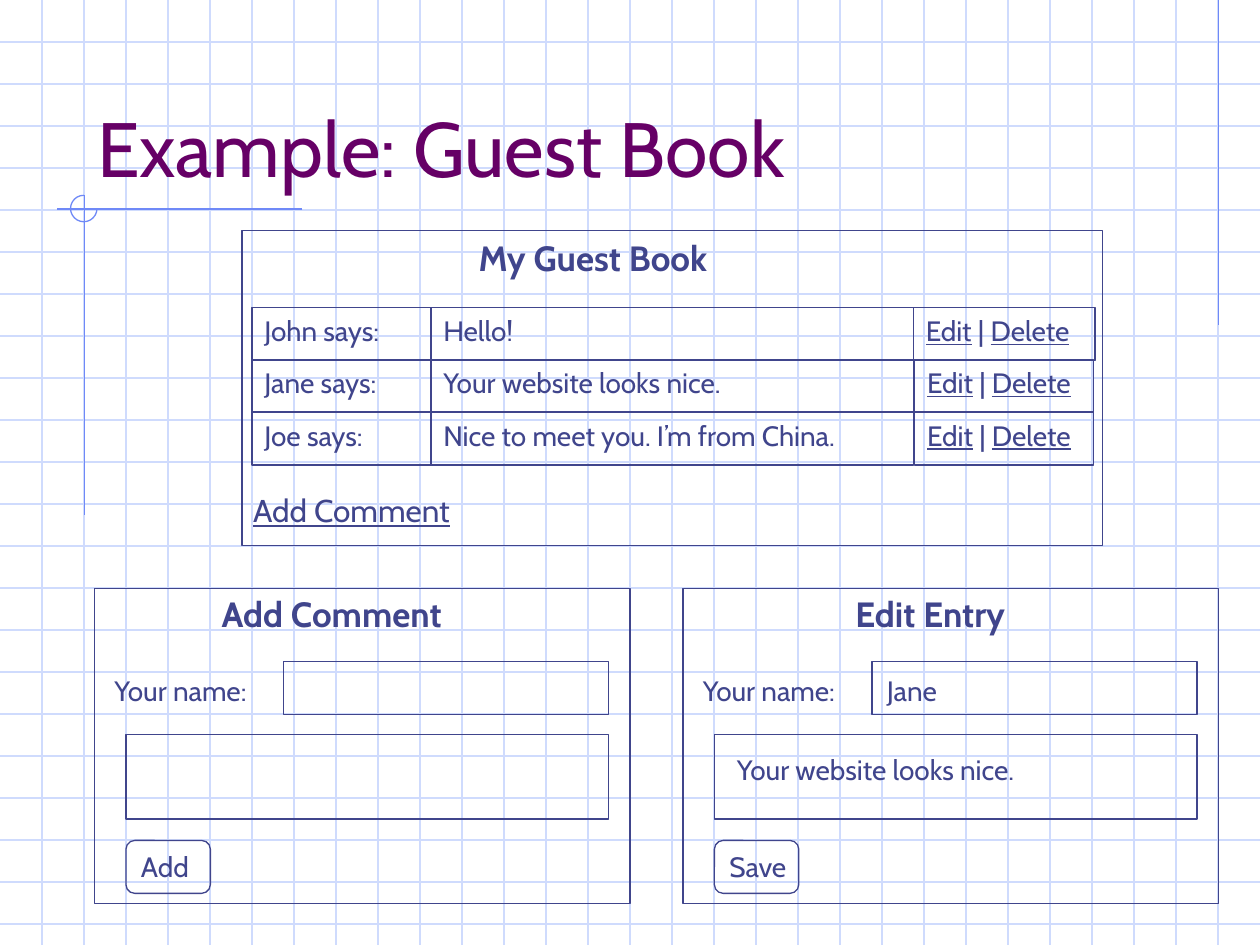
from lxml import etree
from pptx import Presentation
from pptx.dml.color import RGBColor
from pptx.enum.shapes import MSO_CONNECTOR, MSO_SHAPE
from pptx.enum.text import MSO_ANCHOR, MSO_AUTO_SIZE, PP_ALIGN
from pptx.oxml.ns import qn
from pptx.util import Inches, Pt

STRAIGHT = MSO_CONNECTOR.STRAIGHT
RECT, ROUNDED, ARC = MSO_SHAPE.RECTANGLE, MSO_SHAPE.ROUNDED_RECTANGLE, MSO_SHAPE.ARC
TOP, BOTTOM = MSO_ANCHOR.TOP, MSO_ANCHOR.BOTTOM
LEFT = PP_ALIGN.LEFT
NO_FIT, GROW = MSO_AUTO_SIZE.NONE, MSO_AUTO_SIZE.SHAPE_TO_FIT_TEXT

THEME = {
    "font": "Cabin",
    "ink": RGBColor(0x40, 0x45, 0x8C),
    "heading": RGBColor(0x66, 0x00, 0x66),
    "grid": RGBColor(0xCF, 0xDB, 0xFD),
    "accent": RGBColor(0x6F, 0x89, 0xF7),
    "title_size": 44,
    "panel_size": 20,
    "link_size": 18,
    "body_size": 16,
    "line": 0.75,
}

SLIDE_W, SLIDE_H = 10, 7.5
GRID_STEP = 1 / 3
TITLE = "Example: Guest Book"
TITLE_BOX = (0.67, 0.33, 8.5, 1.25)
ACCENT_LINES = [
    (9.67, 0, 9.67, 2.58),
    (2.4, 1.66, 0.45, 1.66),
    (0.67, 1.55, 0.67, 4.09),
]
ACCENT_ARC = (0.56, 1.55, 0.21, 0.21)
ARC_ANGLES = (0, 162)

BOOK_BOX = (1.92, 1.83, 6.83, 2.5)
BOOK_HEADING = ("My Guest Book", (3.7, 1.83, 2.28, 0.44))
BOOK_LINK = ("Add Comment", (1.91, 3.85, 1.89, 0.4))
ENTRIES = [
    ("John says:", "Hello!"),
    ("Jane says:", "Your website looks nice."),
    ("Joe says:", "Nice to meet you. I’m from China."),
]
ACTIONS = [("Edit", True), (" | ", False), ("Delete", True)]
ENTRY_COLUMNS = [(2, 1.42), (3.42, 3.83)]
ACTION_COLUMNS = [(7.25, 1.44), (7.26, 1.42), (7.26, 1.42)]
ENTRY_TOP, ENTRY_PITCH, ENTRY_H = 2.44, 0.415, 0.42

FORM_TOP, FORM_W, FORM_H = 4.67, 4.25, 2.5
FORMS = [
    {"left": 0.75, "heading": "Add Comment", "heading_left": 1.66, "heading_width": 2.18,
     "name": "", "message": "", "button": "Add"},
    {"left": 5.42, "heading": "Edit Entry", "heading_left": 6.69, "heading_width": 1.55,
     "name": "Jane", "message": "Your website looks nice.", "button": "Save"},
]


def place(box):
    return [Inches(value) for value in box]


def draw_line(group, ends, color):
    line = group.shapes.add_connector(STRAIGHT, *place(ends))
    line.line.color.rgb = color
    line.line.width = Pt(THEME["line"])
    etree.SubElement(line._element.spPr, qn("a:effectLst"))


def write(shape, parts, size="body_size", color="ink", bold=False, **frame_format):
    frame = shape.text_frame
    settings = {"word_wrap": False, "auto_size": NO_FIT, "vertical_anchor": TOP}
    for key, value in {**settings, **frame_format}.items():
        setattr(frame, key, value)
    paragraph = frame.paragraphs[0]
    paragraph.alignment = LEFT
    for words, underline in parts:
        run = paragraph.add_run()
        run.text = words
        font_format = {"name": THEME["font"], "size": Pt(THEME[size]),
                       "bold": bold, "underline": underline}
        for key, value in font_format.items():
            setattr(run.font, key, value)
        run.font.color.rgb = THEME[color]


def draw_outline(parent, box, kind=RECT, parts=(), color="ink"):
    outline = parent.shapes.add_shape(kind, *place(box))
    outline.shadow.inherit = False
    outline.fill.background()
    outline.line.color.rgb = THEME[color]
    outline.line.width = Pt(THEME["line"])
    if parts:
        write(outline, parts)
    return outline


def add_label(slide, words, box, underline=False, **text_format):
    label = slide.shapes.add_textbox(*place(box))
    write(label, [(words, underline)], auto_size=GROW, **text_format)


def draw_background(slide):
    backdrop = slide.shapes.add_group_shape()
    for row in range(1, int(SLIDE_H / GRID_STEP) + 1):
        y = row * GRID_STEP
        draw_line(backdrop, (0, y, SLIDE_W, y), THEME["grid"])
    for column in range(1, round(SLIDE_W / GRID_STEP)):
        x = column * GRID_STEP
        draw_line(backdrop, (x, 0, x, SLIDE_H), THEME["grid"])
    for ends in ACCENT_LINES:
        draw_line(backdrop, ends, THEME["accent"])
    corner = draw_outline(backdrop, ACCENT_ARC, ARC, color="accent")
    for index, angle in enumerate(ARC_ANGLES):
        corner.adjustments[index] = angle


def place_title(slide):
    title = slide.shapes.title
    title.left, title.top, title.width, title.height = place(TITLE_BOX)
    write(title, [(TITLE, False)], "title_size", "heading",
          word_wrap=True, vertical_anchor=BOTTOM)
    slide.shapes._spTree.append(title._element)


def draw_book(slide):
    draw_outline(slide, BOOK_BOX)
    add_label(slide, *BOOK_HEADING, size="panel_size", bold=True)
    add_label(slide, *BOOK_LINK, underline=True, size="link_size")
    for row, (entry, action_column) in enumerate(zip(ENTRIES, ACTION_COLUMNS)):
        cells = [[(words, False)] for words in entry] + [ACTIONS]
        for (left, width), parts in zip(ENTRY_COLUMNS + [action_column], cells):
            top = ENTRY_TOP + row * ENTRY_PITCH
            draw_outline(slide, (left, top, width, ENTRY_H), parts=parts)


def draw_form(slide, form):
    left = form["left"]
    draw_outline(slide, (left, FORM_TOP, FORM_W, FORM_H))
    add_label(slide, form["heading"],
              (form["heading_left"], FORM_TOP - 0.02, form["heading_width"], 0.44),
              size="panel_size", bold=True)
    add_label(slide, "Your name:", (left + 0.06, 5.3, 1.4, 0.37))
    draw_outline(slide, (left + 1.5, 5.25, 2.58, 0.42))
    draw_outline(slide, (left + 0.25, 5.83, 3.83, 0.67))
    draw_outline(slide, (left + 0.25, 6.67, 0.67, 0.42), ROUNDED, [(form["button"], False)])
    if form["name"]:
        add_label(slide, form["name"], (left + 1.52, 5.3, 0.64, 0.37))
    if form["message"]:
        add_label(slide, form["message"], (left + 0.33, 5.92, 3.5, 0.37), word_wrap=True)


def main():
    deck = Presentation()
    deck.slide_width, deck.slide_height = Inches(SLIDE_W), Inches(SLIDE_H)
    slide = deck.slides.add_slide(deck.slide_layouts[5])
    draw_background(slide)
    place_title(slide)
    draw_book(slide)
    for form in FORMS:
        draw_form(slide, form)
    deck.save("out.pptx")


if __name__ == "__main__":
    main()
